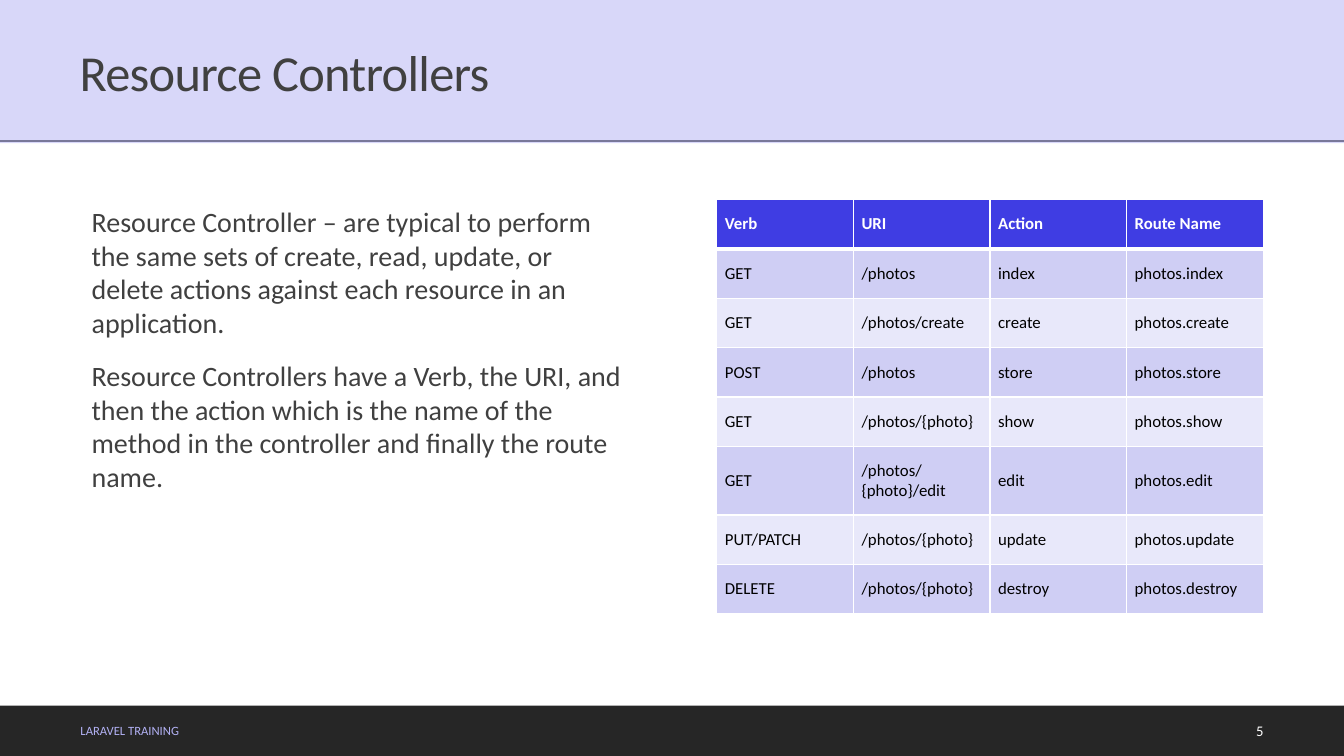
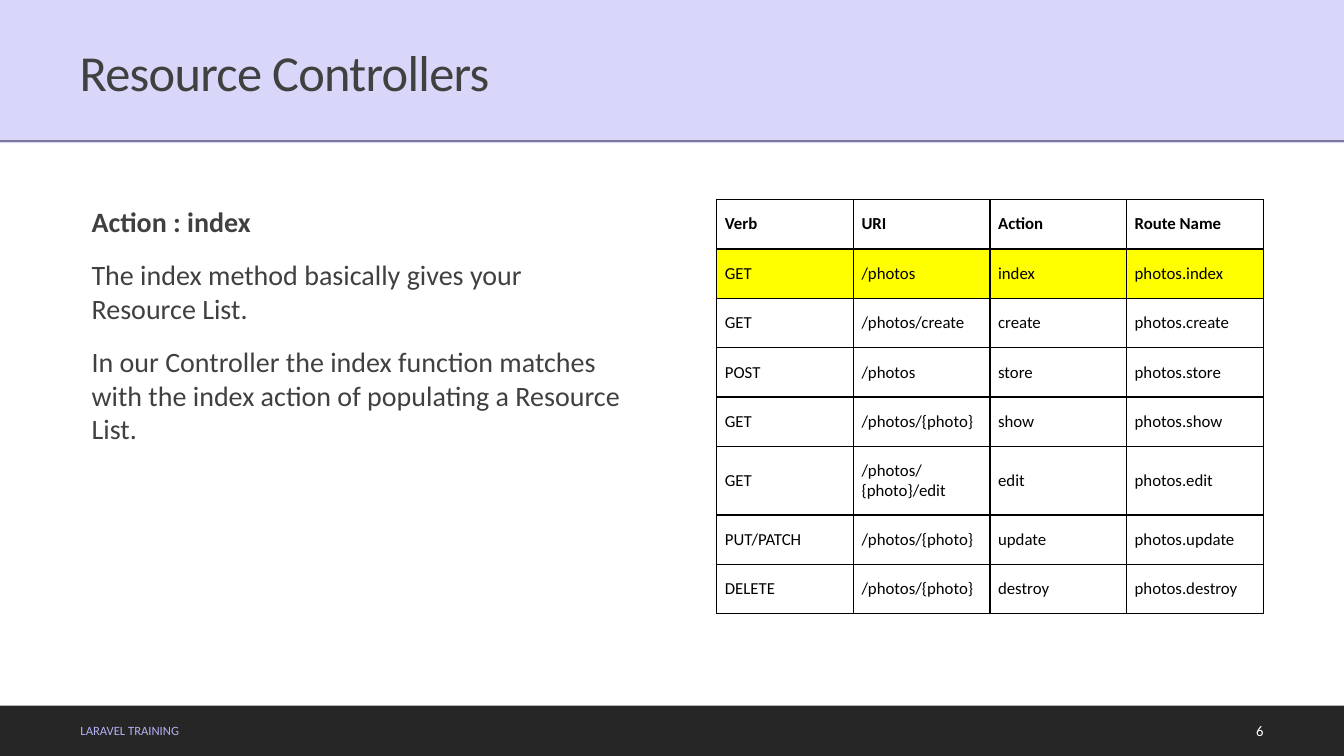
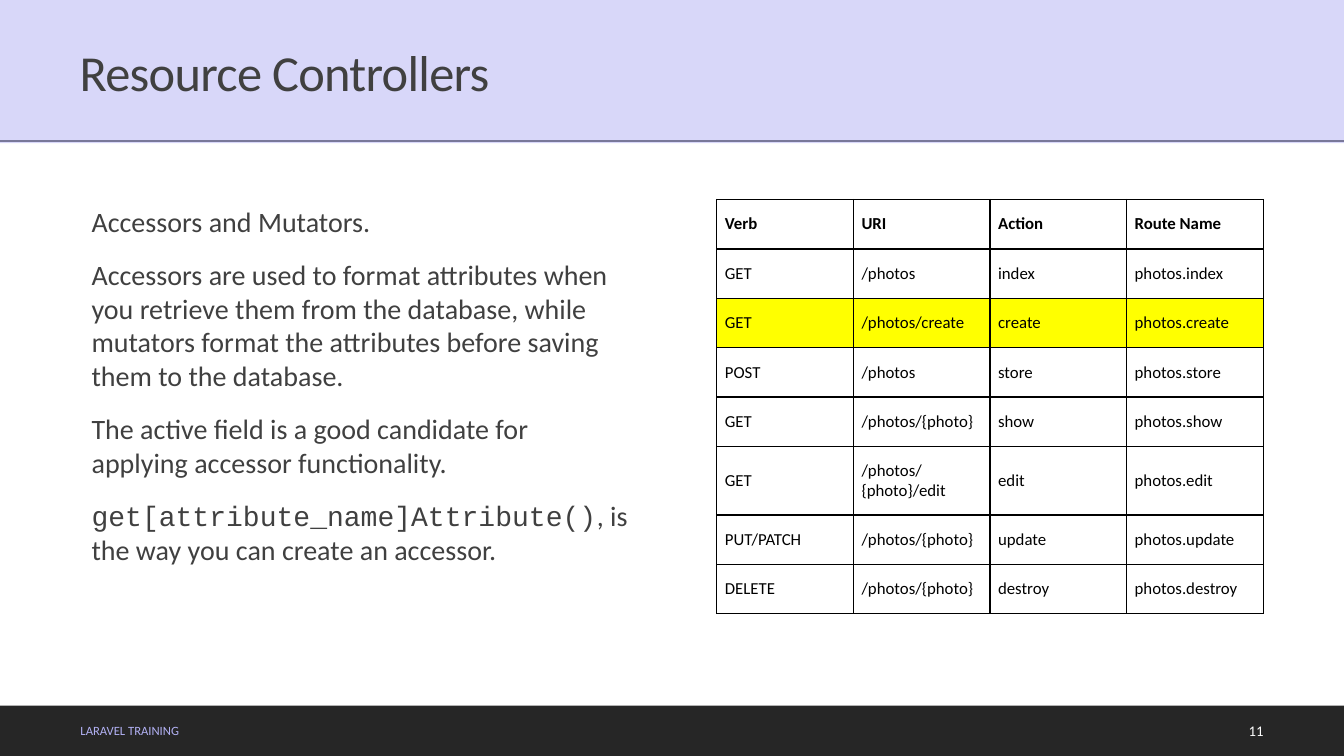
"""Build three slides on resource controllers, each with text beside a route table."""
import lxml.etree
import pptx
import pptx.dml.color
import pptx.enum.shapes
import pptx.enum.text
import pptx.oxml.ns
import pptx.util

RGBColor = pptx.dml.color.RGBColor
LAVENDER = RGBColor(0xB2, 0xB1, 0xF4)
INDIGO = RGBColor(0x3F, 0x3D, 0xE3)
BAND_DARK = RGBColor(0xCF, 0xCE, 0xF4)
BAND_LIGHT = RGBColor(0xE8, 0xE8, 0xFA)
YELLOW = RGBColor(0xFF, 0xFF, 0x00)
GRAY = RGBColor(0x40, 0x40, 0x40)
CHARCOAL = RGBColor(0x26, 0x26, 0x26)
BLACK = RGBColor(0x00, 0x00, 0x00)
WHITE = RGBColor(0xFF, 0xFF, 0xFF)

MIDDLE = pptx.enum.text.MSO_ANCHOR.MIDDLE
RECTANGLE = pptx.enum.shapes.MSO_SHAPE.RECTANGLE
qn = pptx.oxml.ns.qn

deck = pptx.Presentation()
deck.slide_width = pptx.util.Inches(13.33)
deck.slide_height = pptx.util.Inches(7.5)
COLUMNS, ROWS = 133.3, 75
COLUMN = deck.slide_width / COLUMNS
ROW = deck.slide_height / ROWS

ROUTES = [
    ("Verb", "URI", "Action", "Route Name"),
    ("GET", "/photos", "index", "photos.index"),
    ("GET", "/photos/create", "create", "photos.create"),
    ("POST", "/photos", "store", "photos.store"),
    ("GET", "/photos/{photo}", "show", "photos.show"),
    ("GET", "/photos/{photo}/edit", "edit", "photos.edit"),
    ("PUT/PATCH", "/photos/{photo}", "update", "photos.update"),
    ("DELETE", "/photos/{photo}", "destroy", "photos.destroy"),
]
WRAPPED_ROW = 5

PAGES = [
    {"number": 5, "highlight": None, "paragraphs": [
        [("Resource Controller – are typical to perform the same sets of create, read, "
          "update, or delete actions against each resource in an application.", {})],
        [("Resource Controllers have a Verb, the URI, and then the action which is the name "
          "of the method in the controller and finally the route name.", {})],
    ]},
    {"number": 6, "highlight": 1, "paragraphs": [
        [("Action : index", {"bold": True})],
        [("The index method basically gives your Resource List.", {})],
        [("In our Controller the index function matches with the index action of populating "
          "a Resource List.", {})],
    ]},
    {"number": 11, "highlight": 2, "paragraphs": [
        [("Accessors and Mutators.", {})],
        [("Accessors are used to format attributes when you retrieve them from the database, "
          "while mutators format the attributes before saving them to the database.", {})],
        [("The active field is a good candidate for applying accessor functionality.", {})],
        [("get[attribute_name]Attribute()", {"font": "Courier New"}),
         (", is the way you can create an accessor.", {})],
    ]},
]


def place(left, top, width, height):
    return [round(length) for length in
            (left * COLUMN, top * ROW, width * COLUMN, height * ROW)]


def write(para, text, size=20, color=GRAY, font="Calibri", bold=False, align=None):
    span = para.add_run()
    span.text = text
    span.font.size = pptx.util.Pt(size)
    span.font.color.rgb = color
    span.font.name = font
    span.font.bold = bold
    para.alignment = align
    return span


for content in PAGES:
    page = deck.slides.add_slide(deck.slide_layouts[6])
    shapes = page.shapes

    footer_band = shapes.add_shape(RECTANGLE, *place(0, 70, COLUMNS, 5))
    rule = shapes.add_connector(
        pptx.enum.shapes.MSO_CONNECTOR.STRAIGHT,
        0, round(14 * ROW), deck.slide_width, round(14 * ROW))
    rule.line.color.rgb = GRAY
    rule.line.width = pptx.util.Pt(1)
    lxml.etree.SubElement(rule._element.spPr, qn("a:effectLst"))

    footer_parts = [
        (7, 74.6, "LARAVEL TRAINING", 9, LAVENDER, pptx.enum.text.PP_ALIGN.LEFT),
        (119.5, 6.8, str(content["number"]), 10.5, WHITE, pptx.enum.text.PP_ALIGN.RIGHT),
    ]
    for left, width, text, size, color, align in footer_parts:
        box = shapes.add_textbox(*place(left, 70.5, width, 4))
        box.text_frame.word_wrap = True
        box.text_frame.vertical_anchor = MIDDLE
        write(box.text_frame.paragraphs[0], text, size=size, color=color, align=align)

    title_band = shapes.add_shape(RECTANGLE, *place(0, 0, COLUMNS, 14.2))
    for band, color in ((footer_band, CHARCOAL), (title_band, LAVENDER)):
        band.shadow.inherit = False
        band.fill.solid()
        band.fill.fore_color.rgb = color
        band.line.fill.background()
    tint = title_band._element.spPr.find(qn("a:solidFill"))[0]
    lxml.etree.SubElement(tint, qn("a:alpha"), val="50000")
    frame = title_band.text_frame
    frame.word_wrap = True
    frame.vertical_anchor = MIDDLE
    frame.margin_left = pptx.util.Inches(0.79)
    frame.margin_top = pptx.util.Inches(0.12)
    frame.paragraphs[0].line_spacing = 0.9
    title = write(frame.paragraphs[0], "Resource Controllers", size=36,
                  align=pptx.enum.text.PP_ALIGN.LEFT)
    title.font._element.set("spc", "-50")

    body = shapes.add_textbox(*place(8.1, 19.8, 54.2, 41)).text_frame
    body.word_wrap = True
    body.margin_left = pptx.util.Inches(0.1)
    body.margin_right = 0
    for index, spans in enumerate(content["paragraphs"]):
        para = body.add_paragraph() if index else body.paragraphs[0]
        para.space_before = pptx.util.Pt(12)
        para.space_after = pptx.util.Pt(2)
        for text, style in spans:
            write(para, text, **style)

    table = shapes.add_table(len(ROUTES), len(ROUTES[0]), *place(71.1, 19.8, 54.2, 41)).table
    banded = content["highlight"] is None
    for row, values in enumerate(ROUTES):
        table.rows[row].height = round((6.8 if row == WRAPPED_ROW else 4.9) * ROW)
        header = row == 0
        if banded:
            fill = INDIGO if header else BAND_DARK if row % 2 else BAND_LIGHT
        else:
            fill = YELLOW if row == content["highlight"] else None
        for column, text in enumerate(values):
            cell = table.cell(row, column)
            cell.vertical_anchor = MIDDLE
            cell.margin_left = cell.margin_right = pptx.util.Inches(0.08)
            cell.margin_top = cell.margin_bottom = pptx.util.Inches(0.08)
            write(cell.text_frame.paragraphs[0], text, size=12, bold=header,
                  color=WHITE if banded and header else BLACK)
            for side in ("L", "R", "T", "B"):
                thick = banded and (row, side) in ((0, "B"), (1, "T"))
                border = lxml.etree.SubElement(
                    cell._tc.get_or_add_tcPr(), qn("a:ln" + side),
                    w=str(pptx.util.Pt(3 if thick else 1)))
                paint = lxml.etree.SubElement(border, qn("a:solidFill"))
                lxml.etree.SubElement(paint, qn("a:srgbClr"),
                                      val=str(WHITE if banded else BLACK))
            if fill is None:
                cell.fill.background()
            else:
                cell.fill.solid()
                cell.fill.fore_color.rgb = fill

deck.save("out.pptx")
